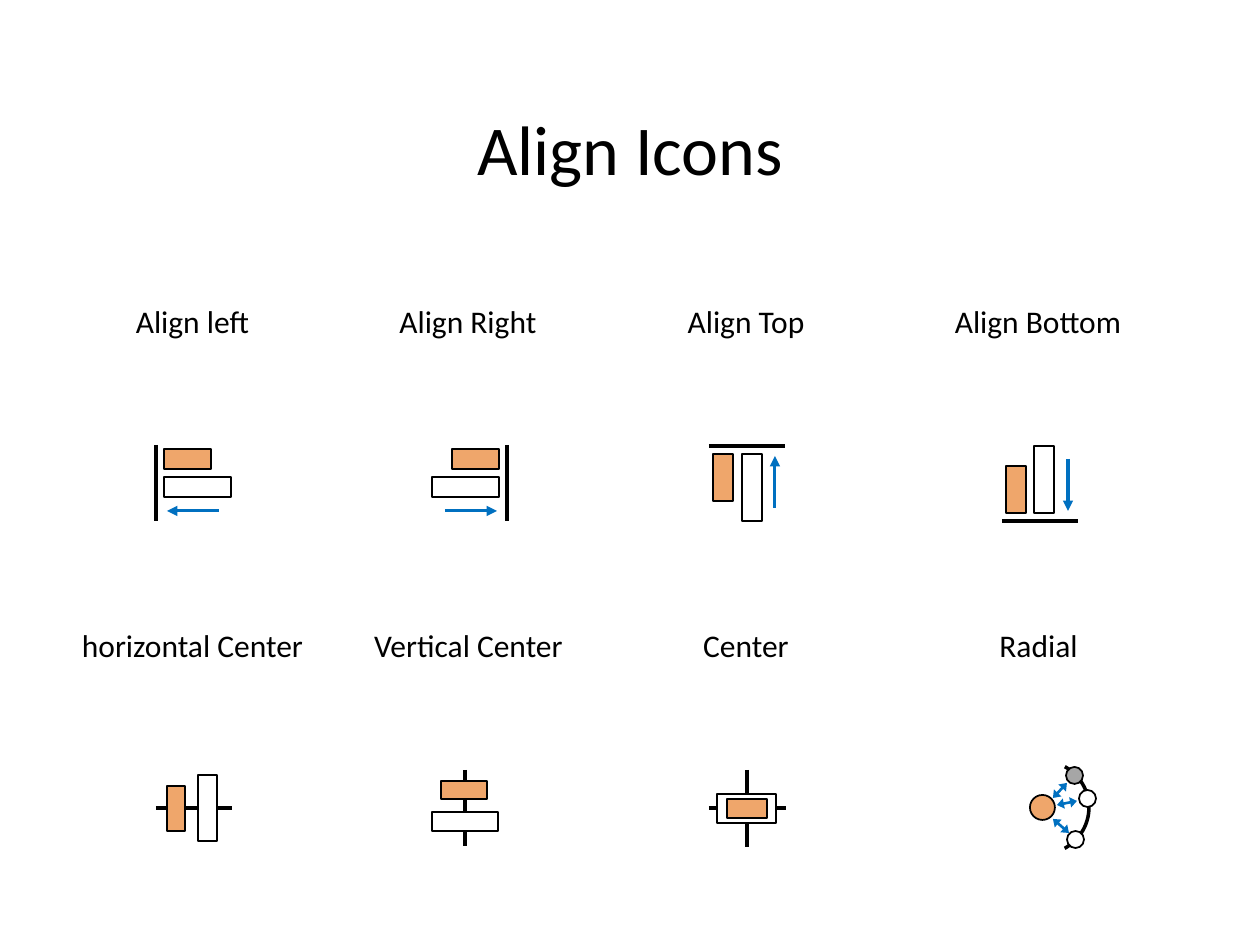
from lxml import etree
from pptx import Presentation
from pptx.dml.color import RGBColor
from pptx.enum.shapes import MSO_CONNECTOR, MSO_SHAPE
from pptx.enum.text import MSO_ANCHOR, PP_ALIGN
from pptx.oxml.ns import qn
from pptx.util import Pt

RECT, OVAL, ARC = MSO_SHAPE.RECTANGLE, MSO_SHAPE.OVAL, MSO_SHAPE.ARC
STRAIGHT = MSO_CONNECTOR.STRAIGHT
CENTER, MIDDLE = PP_ALIGN.CENTER, MSO_ANCHOR.MIDDLE
PX = 914400 // 126
BLACK, WHITE, ORANGE, GRAY, BLUE = "000000", "FFFFFF", "EFA66B", "A6A6A6", "0070C0"


def paint(fmt, color):
    fmt.solid()
    fmt.fore_color.rgb = RGBColor.from_string(color)


def write(sp, text, size):
    tf = sp.text_frame
    tf.text = text
    tf.word_wrap = False
    p = tf.paragraphs[0]
    p.alignment = CENTER
    font = p.runs[0].font
    font.name, font.size = "Calibri", Pt(size)
    paint(font.fill, BLACK)


prs = Presentation()
prs.slide_width, prs.slide_height = 1260 * PX, 945 * PX
s = prs.slides.add_slide(prs.slide_layouts[5])

title = s.shapes.title
title.left, title.top, title.width, title.height = 463 * PX, 99 * PX, 334 * PX, 97 * PX
write(title, "Align Icons", 40)
title.text_frame.vertical_anchor = MIDDLE

column_centers = [192, 468, 746, 1038]
label_rows = [
    (296, [("Align left", 141), ("Align Right", 164), ("Align Top", 144), ("Align Bottom", 194)]),
    (620, [("horizontal Center", 249), ("Vertical Center", 217), ("Center", 112), ("Radial", 105)]),
]
for top, labels in label_rows:
    for center, (text, width) in zip(column_centers, labels):
        left = center - width // 2
        sp = s.shapes.add_textbox(left * PX, top * PX, width * PX, 50 * PX)
        write(sp, text, 18)

AXIS = (BLACK, 2, [], "med")
ARROW = (BLUE, 1.75, ["tailEnd"], "med")
DOUBLE = (BLUE, 1.5, ["headEnd", "tailEnd"], "sm")
icons = [
    [(AXIS, 156, 445, 156, 521), (RECT, ORANGE, 164, 449, 47, 20),
     (RECT, WHITE, 164, 477, 67, 20), (ARROW, 219, 511, 167, 511)],
    [(AXIS, 507, 445, 507, 521), (RECT, ORANGE, 452, 449, 47, 20),
     (RECT, WHITE, 432, 477, 67, 20), (ARROW, 445, 511, 497, 511)],
    [(AXIS, 709, 446, 785, 446), (RECT, ORANGE, 713, 454, 20, 47),
     (RECT, WHITE, 742, 454, 20, 67), (ARROW, 775, 508, 775, 456)],
    [(AXIS, 1002, 521, 1078, 521), (RECT, ORANGE, 1006, 466, 20, 47),
     (RECT, WHITE, 1034, 446, 20, 67), (ARROW, 1068, 459, 1068, 511)],
    [(AXIS, 156, 808, 232, 808), (RECT, ORANGE, 167, 786, 18, 45),
     (RECT, WHITE, 198, 775, 19, 66)],
    [(AXIS, 465, 770, 465, 846), (RECT, ORANGE, 441, 781, 46, 18),
     (RECT, WHITE, 432, 812, 66, 19)],
    [(AXIS, 747, 770, 747, 847), (AXIS, 709, 808, 786, 808),
     (RECT, WHITE, 717, 794, 59, 29), (RECT, ORANGE, 727, 799, 40, 19)],
    [(ARC, None, 996, 761, 93, 93), (DOUBLE, 1053, 798, 1067, 783),
     (OVAL, ORANGE, 1030, 795, 25, 25), (OVAL, GRAY, 1066, 767, 17, 17),
     (OVAL, WHITE, 1079, 790, 17, 17), (OVAL, WHITE, 1067, 831, 17, 17),
     (DOUBLE, 1057, 805, 1077, 801), (DOUBLE, 1053, 819, 1069, 833)],
]
for parts in icons:
    icon = s.shapes.add_group_shape()
    for kind, *rest in parts:
        box = [v * PX for v in rest[-4:]]
        if isinstance(kind, tuple):
            color, weight, ends, length = kind
            line = icon.shapes.add_connector(STRAIGHT, *box)
            paint(line.line.fill, color)
            line.line.width = Pt(weight)
            spPr = line._element.spPr
            for end in ends:
                etree.SubElement(spPr.find(qn("a:ln")), qn("a:" + end), type="triangle", len=length)
            etree.SubElement(spPr, qn("a:effectLst"))
            continue
        sp = icon.shapes.add_shape(kind, *box)
        sp.shadow.inherit = False
        paint(sp.line.fill, BLACK)
        if kind == ARC:
            sp.adjustments[0], sp.adjustments[1] = 179.27, 36.93
            sp.fill.background()
            sp.line.width = Pt(2)
        else:
            paint(sp.fill, rest[0])
            sp.line.width = Pt(1)

prs.save("out.pptx")
